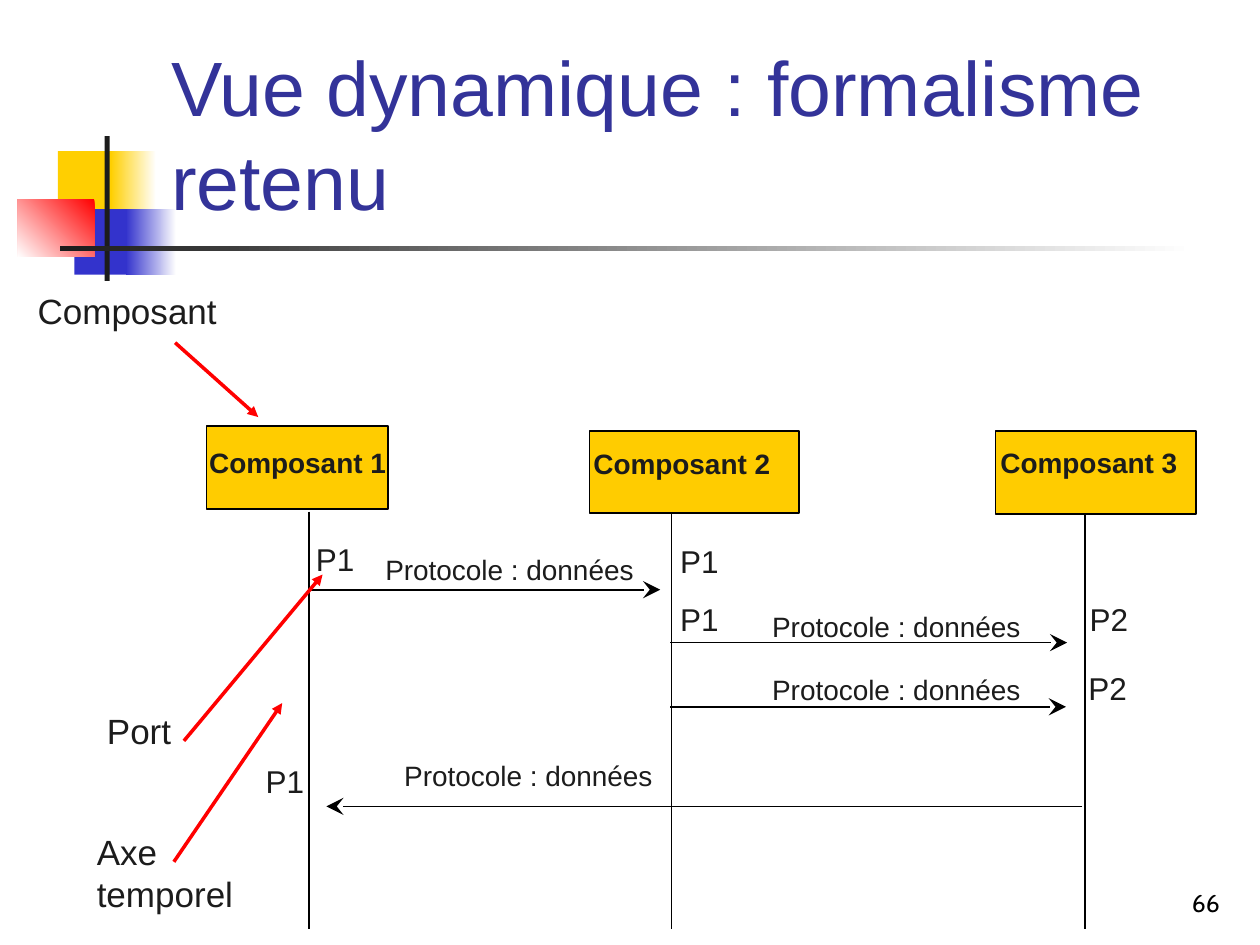
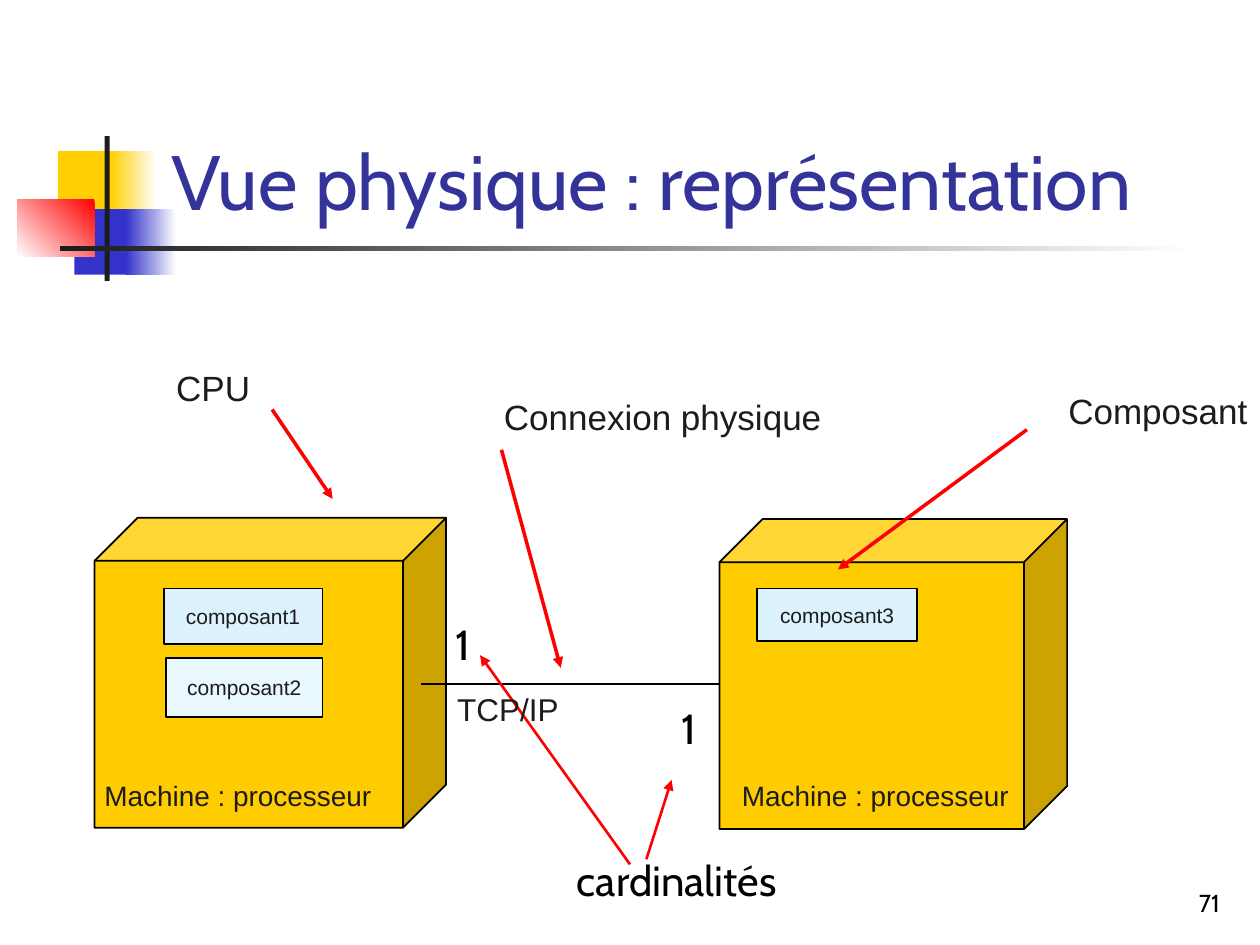
from lxml.etree import SubElement
from pptx import Presentation
from pptx.dml.color import RGBColor
from pptx.enum.shapes import MSO_CONNECTOR as CONNECTOR, MSO_SHAPE as PRESET
from pptx.enum.text import MSO_ANCHOR as ANCHOR, MSO_AUTO_SIZE as AUTO_SIZE, PP_ALIGN as ALIGN
from pptx.oxml.ns import qn
from pptx.util import Inches, Pt

WHITE = RGBColor(0xFF, 0xFF, 0xFF)
BLACK = RGBColor(0x00, 0x00, 0x00)
INK = RGBColor(0x1C, 0x1C, 0x1C)
TITLE_BLUE = RGBColor(0x33, 0x33, 0x99)
BAND_YELLOW = RGBColor(0xFF, 0xCF, 0x01)
BAND_BLUE = RGBColor(0x33, 0x33, 0xCC)
RED = RGBColor(0xFF, 0x00, 0x00)
GOLD = RGBColor(0xFF, 0xCC, 0x00)
PALE_BLUE = RGBColor(0xDD, 0xF2, 0xFF)
PALER_BLUE = RGBColor(0xE9, 0xF7, 0xFF)


def add_box(slide, position, fill, preset=PRESET.RECTANGLE, outline=None, angle=0):
    """Add a preset shape; a pair of colours as fill makes a gradient."""
    shape = slide.shapes.add_shape(preset, *map(Inches, position))
    shape.shadow.inherit = False
    if isinstance(fill, list):
        shape.fill.gradient()
        shape.fill.gradient_angle = angle
        for stop, color in zip(shape.fill.gradient_stops, fill):
            stop.color.rgb = color
    else:
        shape.fill.solid()
        shape.fill.fore_color.rgb = fill
    if outline is None:
        shape.line.fill.background()
    else:
        shape.line.color.rgb = outline
        shape.line.width = Pt(1)
    return shape


def write_text(slide, text, position=None, shape=None, size=16, font="Arial", color=INK,
               bold=False, align=ALIGN.LEFT, anchor=ANCHOR.TOP, wrap=False, spacing=None):
    """Write into the given shape, or into a new text box at the position."""
    if shape is None:
        shape = slide.shapes.add_textbox(*map(Inches, position))
    frame = shape.text_frame
    frame.text = text
    frame.word_wrap = wrap
    frame.vertical_anchor = anchor
    if position and not wrap:
        frame.auto_size = AUTO_SIZE.SHAPE_TO_FIT_TEXT
    for paragraph in frame.paragraphs:
        paragraph.alignment = align
        paragraph.line_spacing = spacing
        paragraph.font.size = Pt(size)
        paragraph.font.name = font
        paragraph.font.bold = bold
        paragraph.font.color.rgb = color
    return frame


presentation = Presentation()
presentation.slide_width = Inches(10)
presentation.slide_height = Inches(7.5)

# Shared band, title and slide number
titles = [
    ("Vue dynamique : formalisme retenu", "Arial", 1.02, "66"),
    ("Vue physique : représentation", "Cabin", None, "71"),
]
band = [
    ((0.46, 1.2, 0.48, 0.52), BAND_YELLOW, 0),
    ((0.88, 1.2, 0.36, 0.52), [WHITE, BAND_YELLOW], 180),
    ((0.59, 1.66, 0.46, 0.52), BAND_BLUE, 0),
    ((1, 1.66, 0.4, 0.52), [WHITE, BAND_BLUE], 180),
    ((0.14, 1.58, 0.61, 0.46), [RED, WHITE], 225),
    ((0.83, 1.08, 0.04, 1.15), INK, 0),
    ((0.48, 1.95, 9, 0.04), [WHITE, INK], 180),
]
for title, title_font, title_spacing, number in titles:
    slide = presentation.slides.add_slide(presentation.slide_layouts[6])
    for position, fill, angle in band:
        add_box(slide, position, fill, angle=angle)
    write_text(slide, title, (1.26, 0.24, 8.52, 1.6), size=44, font=title_font,
               color=TITLE_BLUE, anchor=ANCHOR.BOTTOM, wrap=True, spacing=title_spacing)
    write_text(slide, number, (7.7, 6.83, 2.08, 0.5), size=14, font="Cabin",
               color=BLACK, align=ALIGN.RIGHT, anchor=ANCHOR.BOTTOM, wrap=True)

dynamic_slide, physical_slide = presentation.slides

# Boxes
components = [
    ("Composant 1", (1.64, 3.38, 1.44, 0.66), 0.02),
    ("Composant 2", (4.68, 3.42, 1.66, 0.65), 0.03),
    ("Composant 3", (7.9, 3.42, 1.59, 0.66), 0.04),
]
for name, position, indent in components:
    component = add_box(dynamic_slide, position, GOLD, outline=BLACK)
    frame = write_text(dynamic_slide, name, shape=component, bold=True, wrap=True)
    frame.margin_left = Inches(indent)
    frame.margin_right = 0
    frame.margin_top = Inches(3.54 - position[1])

for position in [(0.75, 4.11, 2.79, 2.46), (5.71, 4.12, 2.76, 2.46)]:
    machine = add_box(physical_slide, position, GOLD, PRESET.CUBE, BLACK)
    machine.adjustments[0] = 0.139

deployed = [
    ("composant1", (1.3, 4.67, 1.26, 0.44), PALE_BLUE),
    ("composant2", (1.32, 5.22, 1.24, 0.47), PALER_BLUE),
    ("composant3", (6.01, 4.67, 1.27, 0.42), PALE_BLUE),
]
for name, position, fill in deployed:
    component = add_box(physical_slide, position, fill, outline=BLACK)
    write_text(physical_slide, name, shape=component, size=12, align=ALIGN.CENTER,
               anchor=ANCHOR.MIDDLE, wrap=True)

# Lines: start, end
lifelines = [((x, top), (x, 7.37)) for x, top in [(2.45, 4.06), (5.33, 4.08), (8.61, 4.09)]]
messages = [
    ((2.45, 4.68), (5.24, 4.68)),
    ((5.32, 5.1), (8.47, 5.1)),
    ((5.32, 5.61), (8.46, 5.61)),
    ((8.59, 6.4), (2.59, 6.4)),
]
dynamic_pointers = [
    ((1.39, 2.72), (2.05, 3.31)),
    ((1.38, 6.84), (2.24, 5.58)),
    ((1.46, 5.88), (2.56, 4.56)),
]
physical_link = [((3.34, 5.43), (5.71, 5.43))]
physical_pointers = [
    ((2.16, 3.25), (2.64, 3.96)),
    ((3.98, 3.57), (4.45, 5.3)),
    ((8.15, 3.41), (6.65, 4.52)),
]
cardinality_pointers = [((5.13, 6.82), (5.33, 6.19)), ((5, 6.86), (3.81, 5.2))]
line_groups = [
    (dynamic_slide, lifelines, BLACK, 1, None, None),
    (dynamic_slide, messages, BLACK, 1, "stealth", "lg"),
    (dynamic_slide, dynamic_pointers, RED, 2, "triangle", "med"),
    (physical_slide, physical_link, BLACK, 1, None, None),
    (physical_slide, physical_pointers, RED, 2, "triangle", "med"),
    (physical_slide, cardinality_pointers, RED, 1.5, "triangle", "med"),
]
for slide, lines, color, width, arrow, arrow_size in line_groups:
    for start, end in lines:
        connector = slide.shapes.add_connector(CONNECTOR.STRAIGHT, *map(Inches, start + end))
        connector.line.color.rgb = color
        connector.line.width = Pt(width)
        if arrow:
            SubElement(connector.line._get_or_add_ln(), qn("a:tailEnd"),
                       type=arrow, w=arrow_size, len=arrow_size)
        SubElement(connector._element.spPr, qn("a:effectLst"))

# Labels of the dynamic view
for left, top in [(2.96, 4.34), (6.03, 4.79), (6.03, 5.29), (3.11, 5.97)]:
    write_text(dynamic_slide, "Protocole : données", (left, top, 2.2, 0.37))

ports = [
    ("P1", 2.41, 4.24), ("P1", 5.3, 4.25), ("P1", 5.3, 4.71),
    ("P2", 8.55, 4.71), ("P2", 8.54, 5.26), ("P1", 2.01, 6),
]
for port, left, top in ports:
    write_text(dynamic_slide, port, (left, top, 0.6, 0.4), size=18)

captions = [
    (dynamic_slide, "Composant", (0.2, 2.25, 1.7, 0.44)),
    (dynamic_slide, "Port", (0.75, 5.58, 0.79, 0.44)),
    (dynamic_slide, "Axe\ntemporel", (0.67, 6.54, 1.36, 0.77)),
    (physical_slide, "CPU", (1.3, 2.86, 0.79, 0.44)),
    (physical_slide, "Connexion physique", (3.9, 3.09, 2.72, 0.44)),
    (physical_slide, "Composant", (8.38, 3.04, 1.62, 0.44)),
]
for slide, caption, position in captions:
    write_text(slide, caption, position, size=20)

# Labels of the physical view
for left in (0.73, 5.79):
    write_text(physical_slide, "Machine : processeur", (left, 6.13, 2.38, 0.37))
write_text(physical_slide, "TCP/IP", (3.53, 5.43, 1.1, 0.4), size=18)

cardinalities = [
    ("cardinalités", (4.48, 6.73, 2.01, 0.5)),
    ("1", (3.52, 4.86, 0.39, 0.5)),
    ("1", (5.31, 5.53, 0.39, 0.5)),
]
for text, position in cardinalities:
    write_text(physical_slide, text, position, size=24, font="Cabin", color=BLACK)

presentation.save("out.pptx")
